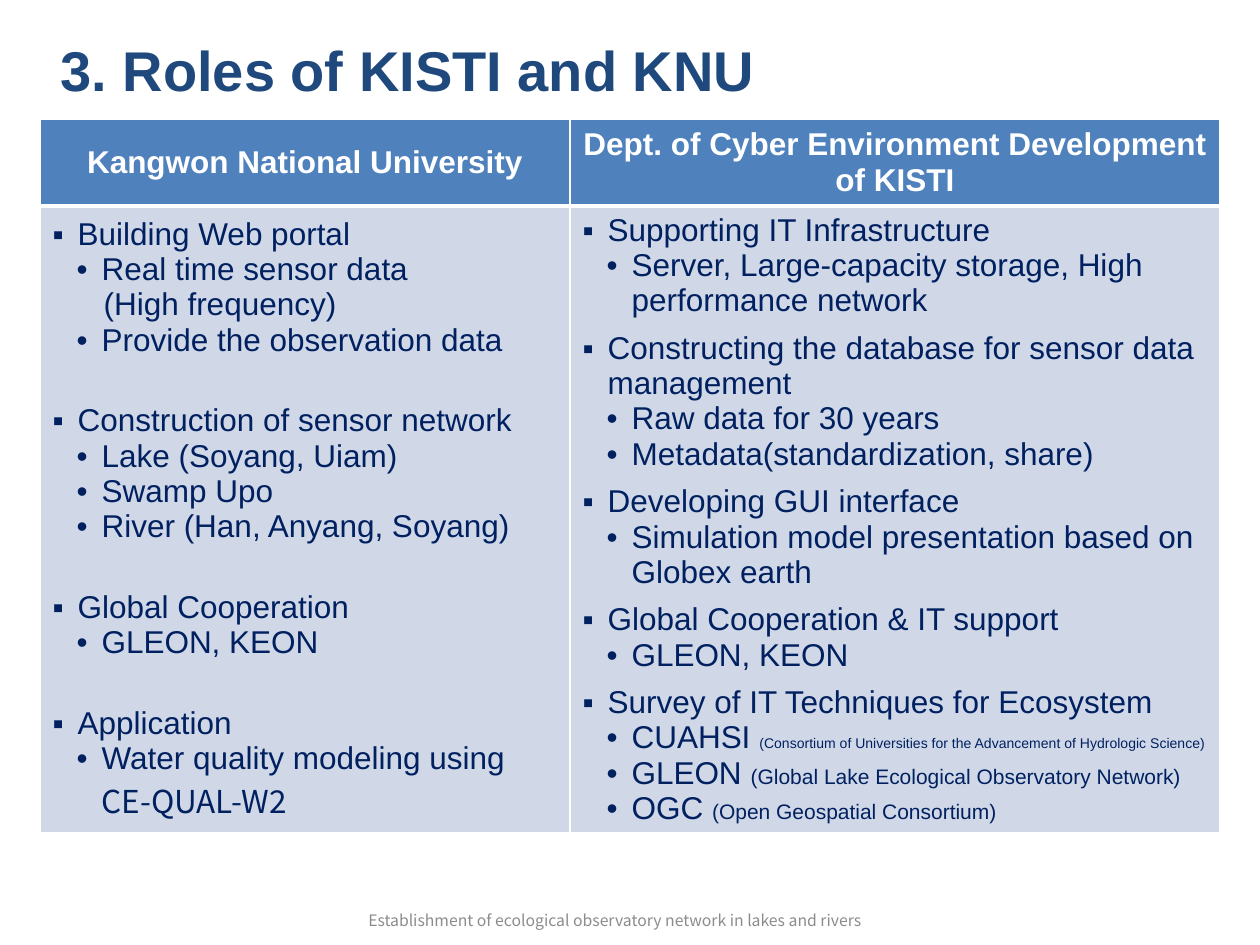
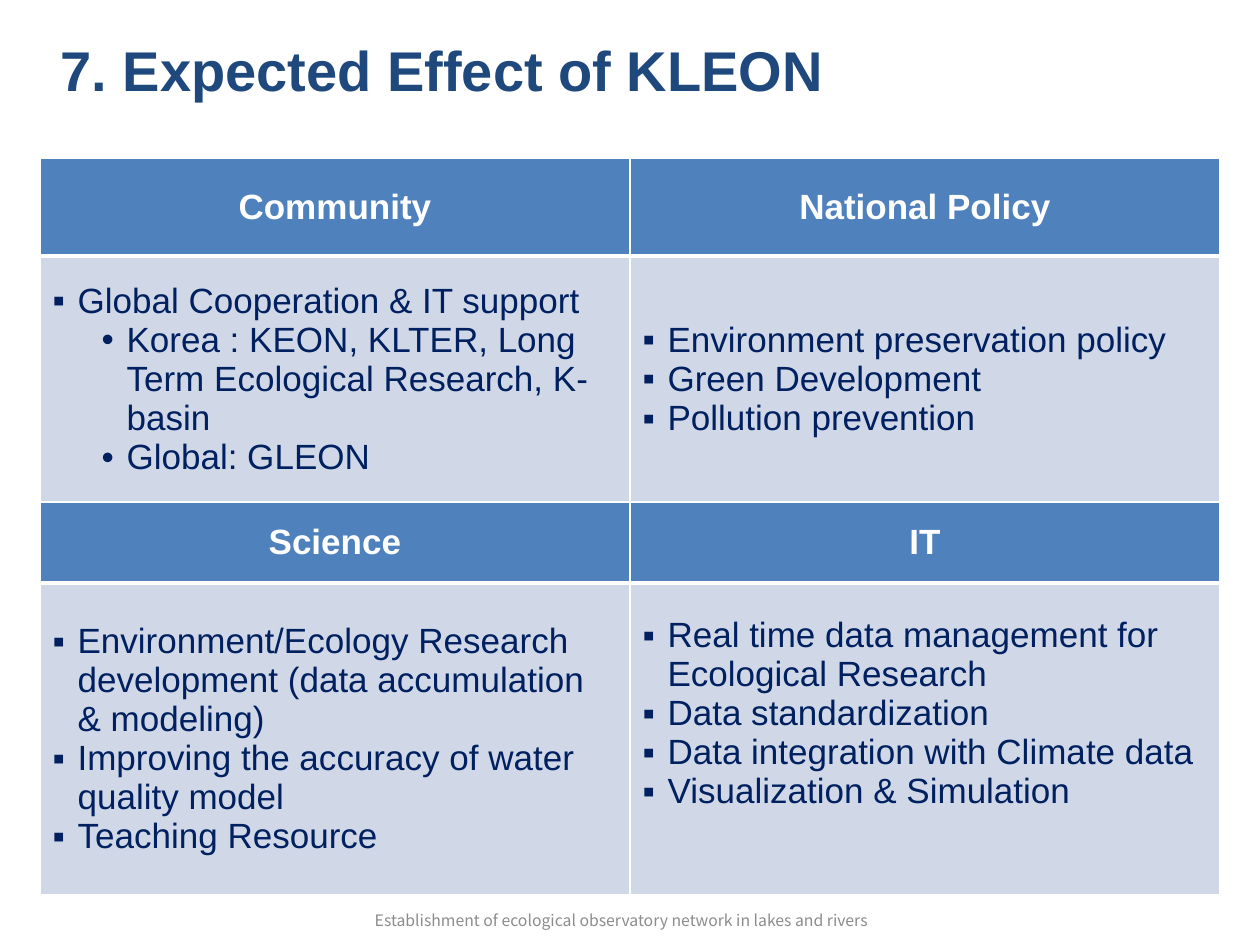
"""Builds two slides on the roles and expected effects of a lake observatory network."""
from lxml import etree
from pptx import Presentation
from pptx.dml.color import RGBColor
from pptx.enum.text import MSO_ANCHOR, PP_ALIGN
from pptx.oxml.ns import qn
from pptx.util import Emu, Pt

LEFT, CENTER, MIDDLE = PP_ALIGN.LEFT, PP_ALIGN.CENTER, MSO_ANCHOR.MIDDLE
TITLE_ONLY = 5
EMU_PER_PX = 914400 / 126
HANG = 25
TOPIC, DETAIL, NESTED, CONTINUED = range(4)
BULLETS = {TOPIC: ("▪", 25), DETAIL: ("•", 49), NESTED: ("•", 74), CONTINUED: (None, 51)}
CJK_FONT = "Noto Sans CJK KR"
FOOTER = "Establishment of ecological observatory network in lakes and rivers"

UNIVERSITY_ROLES = [
    (TOPIC, "Building Web portal"),
    (DETAIL, "Real time sensor data"),
    (CONTINUED, "(High frequency)"),
    (DETAIL, "Provide the observation data"),
    (TOPIC, "Construction of sensor network"),
    (DETAIL, "Lake (Soyang, Uiam)"),
    (DETAIL, "Swamp Upo"),
    (DETAIL, "River (Han, Anyang, Soyang)"),
    (TOPIC, "Global Cooperation"),
    (DETAIL, "GLEON, KEON"),
    (TOPIC, "Application"),
    (DETAIL, "Water quality modeling using ", "CE-QUAL-W2", {"name": CJK_FONT}),
]
INSTITUTE_ROLES = [
    (TOPIC, "Supporting IT Infrastructure"),
    (DETAIL, "Server, Large-capacity storage, High performance network"),
    (TOPIC, "Constructing the database for sensor data management"),
    (DETAIL, "Raw data for 30 years"),
    (DETAIL, "Metadata(standardization, share)"),
    (TOPIC, "Developing GUI interface"),
    (DETAIL, "Simulation model presentation based on Globex earth"),
    (TOPIC, "Global Cooperation & IT support"),
    (DETAIL, "GLEON, KEON"),
    (TOPIC, "Survey of IT Techniques for Ecosystem"),
    (DETAIL, "CUAHSI ", "(Consortium of Universities for the Advancement of Hydrologic Science)",
     {"size": Pt(8)}),
    (DETAIL, "GLEON ", "(Global Lake Ecological Observatory Network)", {"size": Pt(12)}),
    (DETAIL, "OGC ", "(Open Geospatial Consortium)", {"size": Pt(12)}),
]
COMMUNITY_EFFECTS = [
    (TOPIC, "Global Cooperation & IT support"),
    (NESTED, "Korea : KEON, KLTER, Long Term Ecological Research, K-basin"),
    (NESTED, "Global: GLEON"),
]
POLICY_EFFECTS = [
    (TOPIC, "Environment preservation policy"),
    (TOPIC, "Green Development"),
    (TOPIC, "Pollution prevention"),
]
SCIENCE_EFFECTS = [
    (TOPIC, "Environment/Ecology Research development (data accumulation & modeling)"),
    (TOPIC, "Improving the accuracy of water quality model"),
    (TOPIC, "Teaching Resource"),
]
IT_EFFECTS = [
    (TOPIC, "Real time data management for Ecological Research"),
    (TOPIC, "Data standardization"),
    (TOPIC, "Data integration with Climate data"),
    (TOPIC, "Visualization & Simulation"),
]


def px(length):
    return Emu(round(length * EMU_PER_PX))


def color(value):
    return RGBColor.from_string(value)


class Deck:
    title_format = {"name": "Arial", "size": Pt(32), "bold": True, "color": "1F497D"}
    header_format = {"name": "Arial", "bold": True, "color": "FFFFFF"}
    body_format = {"name": "Arial", "bold": False, "color": "002060"}
    footer_format = {"name": CJK_FONT, "size": Pt(9), "color": "8C8C8C"}
    header_fill, body_fill, border = "4F81BD", "D0D8E8", "FFFFFF"

    def __init__(self):
        self.presentation = Presentation()
        self.presentation.slide_width = px(1260)
        self.presentation.slide_height = px(945)
        self.slide = None

    def add_slide(self, title):
        layout = self.presentation.slide_layouts[TITLE_ONLY]
        self.slide = self.presentation.slides.add_slide(layout)
        shape = self.slide.shapes.title
        self.place(shape, 48, 24, 1163, 90)
        self.set_text(shape.text_frame, title, self.title_format, LEFT)

    def place(self, shape, left, top, width, height):
        places = {"left": left, "top": top, "width": width, "height": height}
        for name, value in places.items():
            setattr(shape, name, px(value))

    def add_run(self, paragraph, text, style):
        run = paragraph.add_run()
        run.text = text
        for name, value in style.items():
            if name == "color":
                run.font.color.rgb = color(value)
            else:
                setattr(run.font, name, value)

    def set_text(self, frame, text, style, alignment):
        frame.word_wrap = True
        frame.vertical_anchor = MIDDLE
        paragraph = frame.paragraphs[0]
        paragraph.alignment = alignment
        self.add_run(paragraph, text, style)

    def footer(self, left, width):
        shape = self.slide.shapes.add_textbox(px(left), px(895), px(width), px(50))
        self.set_text(shape.text_frame, FOOTER, self.footer_format, CENTER)

    def bullets(self, frame, items, style, topic_gap):
        for index, (level, text, *tail) in enumerate(items):
            paragraph = frame.add_paragraph() if index else frame.paragraphs[0]
            mark, indent = BULLETS[level]
            properties = paragraph._p.get_or_add_pPr()
            properties.set("marL", str(px(indent)))
            properties.set("indent", str(-px(HANG) if mark else 0))
            if mark:
                etree.SubElement(properties, qn("a:buFont"), typeface="Arial")
                etree.SubElement(properties, qn("a:buChar"), char=mark)
            if index and level == TOPIC:
                paragraph.space_before = Pt(topic_gap)
            self.add_run(paragraph, text, style)
            if tail:
                tail_text, tail_style = tail
                self.add_run(paragraph, tail_text, {**style, **tail_style})

    def format_cell(self, cell, fill, top_width, bottom_width):
        properties = cell._tc.get_or_add_tcPr()
        for side, width in zip("LRTB", (1, 1, top_width, bottom_width)):
            line = etree.SubElement(properties, qn(f"a:ln{side}"), w=str(Pt(width)))
            solid = etree.SubElement(line, qn("a:solidFill"))
            etree.SubElement(solid, qn("a:srgbClr"), val=self.border)
        cell.fill.solid()
        cell.fill.fore_color.rgb = color(fill)
        cell.vertical_anchor = MIDDLE

    def table(self, top, column_widths, row_heights, columns, size, topic_gaps=(0, 0)):
        frame = self.slide.shapes.add_table(
            2, 2, px(40), px(top), px(sum(column_widths)), px(sum(row_heights)))
        table = frame.table
        table.horz_banding = False
        for row, height in zip(table.rows, row_heights):
            row.height = px(height)
        for index, (heading, items) in enumerate(columns):
            table.columns[index].width = px(column_widths[index])
            header, body = table.cell(0, index), table.cell(1, index)
            self.format_cell(header, self.header_fill, 1, 3)
            self.format_cell(body, self.body_fill, 3, 1)
            paragraph = header.text_frame.paragraphs[0]
            paragraph.alignment = CENTER
            self.add_run(paragraph, heading, {**self.header_format, "size": Pt(size)})
            self.bullets(body.text_frame, items, {**self.body_format, "size": Pt(size)},
                         topic_gaps[index])
        return table


def main():
    deck = Deck()

    deck.add_slide("3. Roles of KISTI and KNU")
    deck.table(119, (530, 650), (87, 627), [
        ("Kangwon National University", UNIVERSITY_ROLES),
        ("Dept. of Cyber Environment Development of KISTI", INSTITUTE_ROLES),
    ], 18, topic_gaps=(26, 7))
    deck.footer(333, 563)

    deck.add_slide("7. Expected Effect of KLEON")
    halves = (590, 590)
    deck.table(158, halves, (98, 246), [
        ("Community", COMMUNITY_EFFECTS), ("National Policy", POLICY_EFFECTS)], 20)
    science_table = deck.table(502, halves, (81, 312), [
        ("Science", SCIENCE_EFFECTS), ("IT", IT_EFFECTS)], 20)
    science_table.cell(1, 1).margin_bottom = px(57)
    deck.footer(344, 554)

    deck.presentation.save("out.pptx")


if __name__ == "__main__":
    main()
